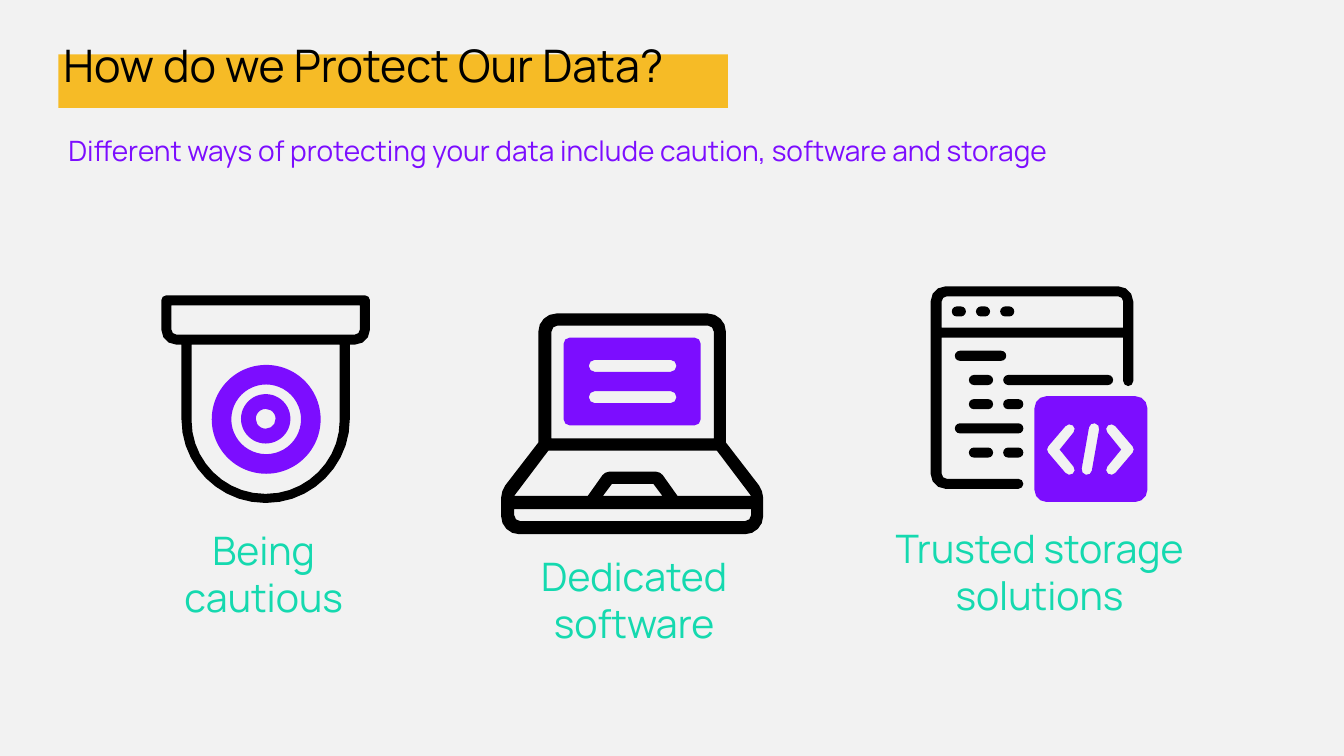
from pptx import Presentation
from pptx.dml.color import RGBColor
from pptx.enum.shapes import MSO_SHAPE as Preset
from pptx.enum.text import MSO_AUTO_SIZE as AutoSize, PP_ALIGN as Align
from pptx.util import Pt

PX = 9144  # EMU per px, 100 px to the inch
FONT = "Manrope"
BLACK = RGBColor(0x00, 0x00, 0x00)
PURPLE = RGBColor(0x7C, 0x0D, 0xFF)
AMBER = RGBColor(0xF6, 0xBB, 0x26)
TEAL = RGBColor(0x15, 0xD9, 0xAF)
PALE_GREY = RGBColor(0xF2, 0xF2, 0xF2)


def paint(shape, color):
    shape.shadow.inherit = False
    shape.fill.solid()
    shape.fill.fore_color.rgb = color
    shape.line.fill.background()


def add_preset(shapes, preset, left, top, width, height, color, adjustment=None):
    shape = shapes.add_shape(preset, left * PX, top * PX, width * PX, height * PX)
    if adjustment is not None:
        shape.adjustments[0] = adjustment
    paint(shape, color)


def add_text(slide, left, top, width, height, lines, size, color,
             align=Align.LEFT, wrap=False):
    text_box = slide.shapes.add_textbox(left * PX, top * PX, width * PX, height * PX)
    frame = text_box.text_frame
    frame.text = "\n".join(lines)
    frame.word_wrap = wrap
    frame.auto_size = AutoSize.SHAPE_TO_FIT_TEXT
    font_format = {"name": FONT, "size": Pt(size)}
    for paragraph in frame.paragraphs:
        paragraph.alignment = align
        for run in paragraph.runs:
            for name, value in font_format.items():
                setattr(run.font, name, value)
            run.font.color.rgb = color


def toward(start, end, distance):
    """The point that lies the given distance from start on the way to end."""
    dx, dy = end[0] - start[0], end[1] - start[1]
    share = distance / (dx * dx + dy * dy) ** 0.5
    return start[0] + dx * share, start[1] + dy * share


def round_corners(corners):
    """Turn (x, y, radius) corners into points in EMU, with curves flattened."""
    points = []
    for index, corner in enumerate(corners):
        x, y, radius = corner
        if not radius:
            points.append((x * PX, y * PX))
            continue
        before, after = corners[index - 1], corners[(index + 1) % len(corners)]
        controls = [toward(corner, before, radius), toward(corner, before, radius * 0.45),
                    toward(corner, after, radius * 0.45), toward(corner, after, radius)]
        steps = min(10, 2 + radius // 8)
        for step in range(steps + 1):
            t = step / steps
            weights = ((1 - t) ** 3, 3 * t * (1 - t) ** 2, 3 * t * t * (1 - t), t ** 3)
            points.append(tuple(
                round(PX * sum(w * c[axis] for w, c in zip(weights, controls)))
                for axis in (0, 1)))
    return points


def box(left, top, right, bottom, top_radius=0, bottom_radius=0):
    return [(left, top, top_radius), (right, top, top_radius),
            (right, bottom, bottom_radius), (left, bottom, bottom_radius)]


def mirror(corners, axis_sum):
    return [(axis_sum - x, y, radius) for x, y, radius in corners]


def add_outline(shapes, color, contours):
    """One filled freeform: the first contour is the edge, the others are holes."""
    edge, *holes = [round_corners(contour) for contour in contours]
    builder = shapes.build_freeform(*edge[0], scale=1.0)
    builder.add_line_segments(edge[1:], close=True)
    for hole in holes:
        builder.move_to(*hole[0])
        builder.add_line_segments(hole[1:], close=True)
    paint(builder.convert_to_shape(), color)


def add_code_window(slide):
    shapes = slide.shapes.add_group_shape().shapes

    # Tile with code brackets
    bracket = [(1037, 446, 4), (1060, 419, 5), (1068, 425, 5),
               (1051, 446, 0), (1068, 467, 5), (1060, 473, 5)]
    slash = [(1081, 419, 5), (1091, 421, 5), (1082, 472, 5), (1072, 470, 5)]
    add_outline(shapes, PURPLE, [box(1026, 393, 1138, 498, 12, 12),
                                 bracket, slash, mirror(bracket, 2163)])

    # Window frame, open at the lower right
    frame = [(923, 284, 15), (1124, 284, 15), (1124, 383, 5), (1114, 383, 5),
             (1114, 335, 0), (934, 335, 0), (934, 475, 5), (1015, 475, 5),
             (1015, 485, 5), (923, 485, 15)]
    add_outline(shapes, BLACK, [frame, box(934, 294, 1114, 325, 5)])

    # Window buttons and lines of code
    dashes = [(944 + 24 * index, 304, 14) for index in range(3)]
    code_rows = [[(947, 51)], [(961, 24), (995, 109)], [(961, 24), (995, 20)],
                 [(947, 68)], [(961, 24), (995, 20)]]
    for row, spans in enumerate(code_rows):
        dashes += [(left, 348 + 24 * row, width) for left, width in spans]
    for left, top, width in dashes:
        add_preset(shapes, Preset.ROUNDED_RECTANGLE, left, top, width, 10, BLACK, 0.5)


def add_laptop(slide):
    shapes = slide.shapes.add_group_shape().shapes

    # Case with screen, deck, touchpad and base cut out
    case = [(534, 311, 18), (720, 311, 18), (720, 439, 0), (757, 487, 7),
            (757, 530, 18), (497, 530, 18), (497, 487, 7), (534, 439, 0)]
    deck = [(544, 447, 0), (711, 447, 0), (745, 492, 0), (672, 492, 0),
            (655, 468, 4), (600, 468, 4), (583, 492, 0), (510, 492, 0)]
    touchpad = [(657, 492, 0), (598, 492, 0), (607, 480, 0), (648, 480, 0)]
    add_outline(shapes, BLACK, [case, box(547, 323, 708, 435, 6), deck, touchpad,
                                box(510, 505, 745, 517, 0, 6)])

    # Display with two bars
    bars = [box(584, top, 671, top + 12, 6, 6) for top in (357, 388)]
    add_outline(shapes, PURPLE, [box(559, 335, 695, 422, 6, 6), *bars])


def add_camera(slide):
    shapes = slide.shapes.add_group_shape().shapes

    # Lens rings
    add_preset(shapes, Preset.DONUT, 210, 362, 108, 108, PURPLE, 0.18)
    add_preset(shapes, Preset.DONUT, 239, 391, 49, 49, PURPLE, 0.3)

    # Mount and dome
    body = [(160, 293, 5), (367, 293, 5), (367, 342, 15), (347, 342, 0),
            (347, 499, 83), (180, 499, 83), (180, 342, 0), (160, 342, 15)]
    add_outline(shapes, BLACK, [body, box(190, 342, 337, 490, 0, 73),
                                box(170, 303, 357, 332, 0, 5)])


def main():
    presentation = Presentation()
    presentation.slide_width = 1333 * PX
    presentation.slide_height = 750 * PX
    slide = presentation.slides.add_slide(presentation.slide_layouts[6])
    slide.background.fill.solid()
    slide.background.fill.fore_color.rgb = PALE_GREY

    # Heading
    add_preset(slide.shapes, Preset.RECTANGLE, 58, 54, 664, 53, AMBER)
    add_text(slide, 58, 128, 1109, 44,
             ["Different ways of protecting your data include caution, software and storage"],
             20, PURPLE)
    add_text(slide, 53, 33, 682, 64, ["How do we Protect Our Data?"], 32, BLACK)

    # Icons
    add_code_window(slide)
    add_laptop(slide)
    add_camera(slide)

    # Captions
    captions = [(140, 517, 243, ["Being cautious"], True),
                (466, 543, 326, ["Dedicated software"], True),
                (868, 515, 326, ["Trusted storage", "solutions"], False)]
    for left, top, width, lines, wrap in captions:
        add_text(slide, left, top, width, 104, lines, 28, TEAL, Align.CENTER, wrap)

    presentation.save("out.pptx")


if __name__ == "__main__":
    main()
